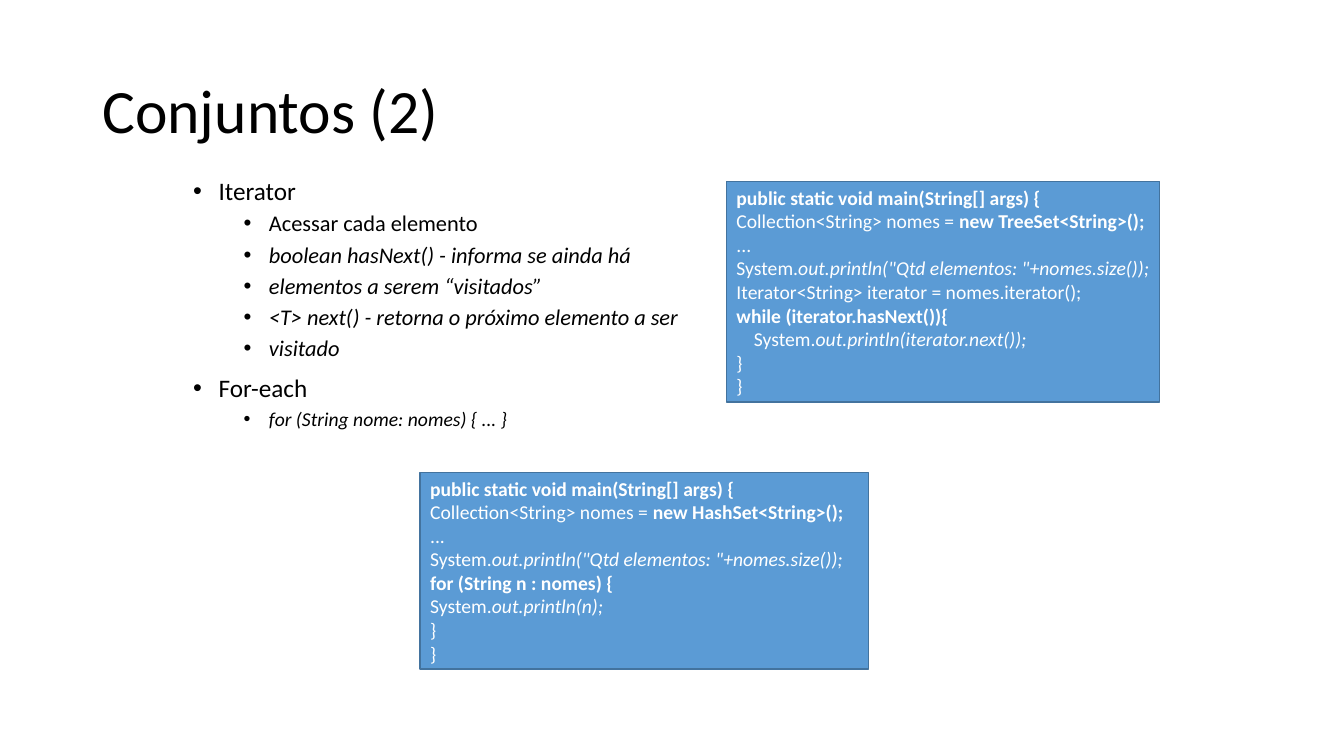
import pptx
import pptx.util
import pptx.dml.color
import pptx.enum.shapes
import pptx.enum.text
import lxml.etree

Cm = pptx.util.Cm
Pt = pptx.util.Pt
MID = pptx.enum.text.MSO_ANCHOR.MIDDLE
TOP = pptx.enum.text.MSO_ANCHOR.TOP

TITLE = [{"runs": [("Conjuntos (2)", "")]}]
TOPICS = [
    ("Iterator", 18, [
        ("Acessar cada elemento", "", 16),
        ("boolean hasNext() - informa se ainda há", "i", 16),
        ("elementos a serem “visitados”", "i", 16),
        ("<T> next() - retorna o próximo elemento a ser", "i", 16),
        ("visitado", "i", 16),
    ]),
    ("For-each", 18, [("for (String nome: nomes) { ... }", "i", 14)]),
]
LOOPS = [
    ("HashSet", (10.59, 11.91, 11.3, 4.95), [
        {"runs": [("for (String n : nomes) {", "b")]},
        {"runs": [("System.", ""), ("out.println(n);", "i")]},
    ]),
    ("TreeSet", (18.31, 4.57, 10.92, 5.56), [
        {"runs": [("Iterator<String> iterator = nomes.iterator();", "")]},
        {"runs": [("while (iterator.hasNext()){", "b")]},
        {"runs": [("System.", ""), ("out.println(iterator.next());", "i")], "left": 0.44},
    ]),
]


def color(code):
    return pptx.dml.color.RGBColor.from_string(code)


def write(frame, lines, size=14, ink="000000", space=1.0, anchor=TOP):
    frame.word_wrap = True
    frame.vertical_anchor = anchor
    frame.margin_right = Cm(0.2)
    for row, line in enumerate(lines):
        para = frame.add_paragraph() if row else frame.paragraphs[0]
        para.alignment = pptx.enum.text.PP_ALIGN.LEFT
        para.line_spacing = space
        para.space_before = Pt(line.get("before", 0))
        props = para._p.get_or_add_pPr()
        props.set("marL", str(Cm(line.get("left", 0))))
        if "hang" in line:
            props.set("indent", str(-Cm(line["hang"])))
            font = lxml.etree.SubElement(props, pptx.oxml.ns.qn("a:buFont"))
            font.set("typeface", "Arial")
            mark = lxml.etree.SubElement(props, pptx.oxml.ns.qn("a:buChar"))
            mark.set("char", "•")
        for text, style in line["runs"]:
            run = para.add_run()
            run.text = text
            run.font.name = "Calibri"
            run.font.size = Pt(line.get("size", size))
            run.font.bold = "b" in style
            run.font.italic = "i" in style
            run.font.color.rgb = color(ink)


def point(text, style, size, level):
    return {"runs": [(text, style)], "size": size, "hang": 0.64,
            "left": 0.64 + 1.27 * level, "before": 10 - 5 * level}


def listing(kind, loop):
    head = [
        [("public static void main(String[] args) {", "b")],
        [("Collection<String> nomes = ", ""), (f"new {kind}<String>();", "b")],
        [("...", "")],
        [("System.", ""), ('out.println("Qtd elementos: "+nomes.size());', "i")],
    ]
    return [{"runs": runs} for runs in head] + loop + [{"runs": [("}", "")]}] * 2


deck = pptx.Presentation()
deck.slide_width, deck.slide_height = Cm(33.87), Cm(19.05)
slide = deck.slides.add_slide(deck.slide_layouts[6])
shapes = slide.shapes

title = shapes.add_textbox(Cm(2.33), Cm(1.01), Cm(29.21), Cm(3.68))
write(title.text_frame, TITLE, size=44, space=0.9, anchor=MID)

points = []
for topic, size, items in TOPICS:
    points.append(point(topic, "", size, 0))
    points += [point(*item, 1) for item in items]
body = shapes.add_textbox(Cm(4.62), Cm(4.37), Cm(23.62), Cm(6.93))
write(body.text_frame, points, space=0.9)

for kind, place, loop in LOOPS:
    box = shapes.add_shape(pptx.enum.shapes.MSO_SHAPE.RECTANGLE, *map(Cm, place))
    box.shadow.inherit = False
    box.fill.solid()
    box.fill.fore_color.rgb = color("5B9BD5")
    box.line.color.rgb = color("43739E")
    box.line.width = Pt(1)
    write(box.text_frame, listing(kind, loop), ink="FFFFFF", anchor=MID)

deck.save("out.pptx")
